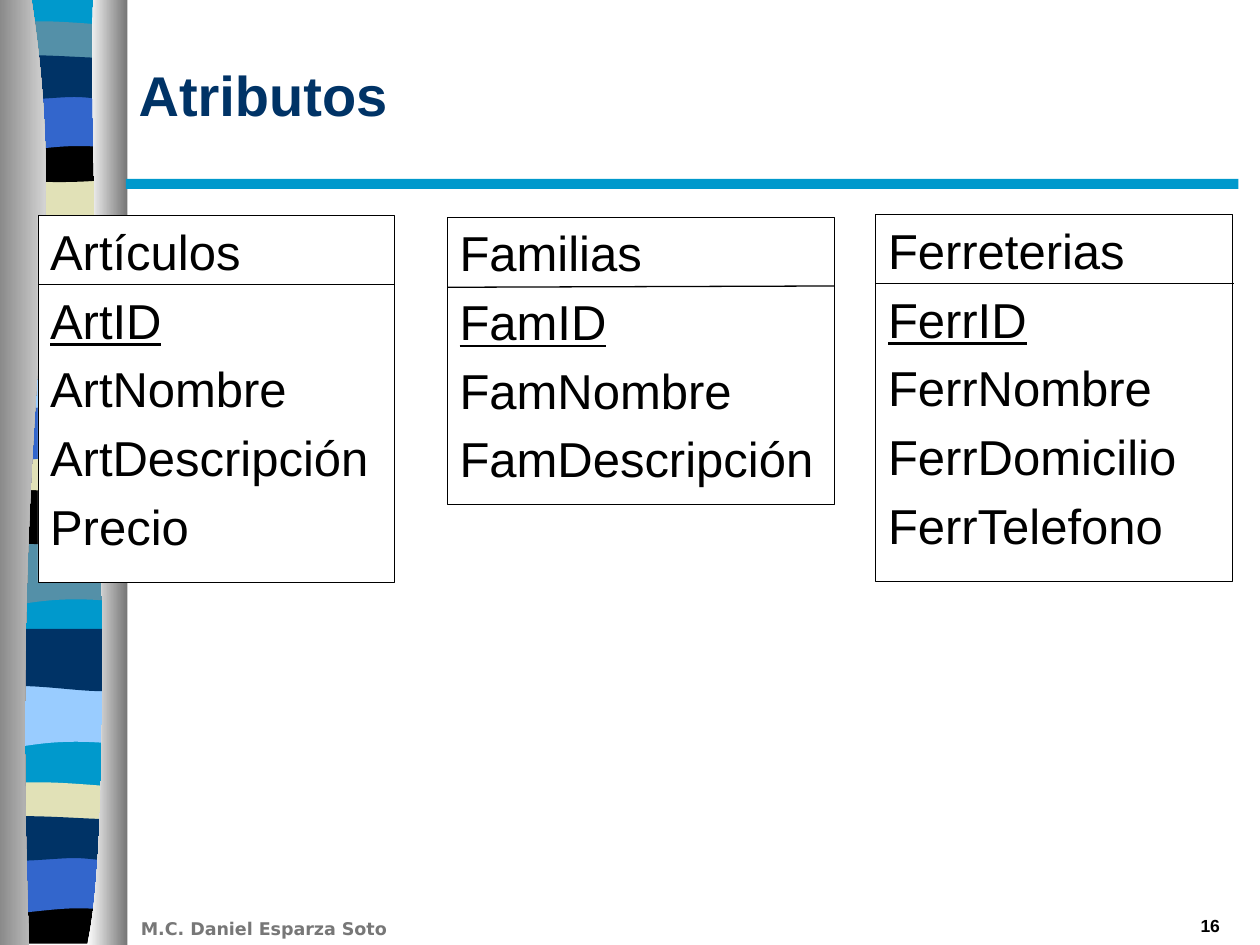
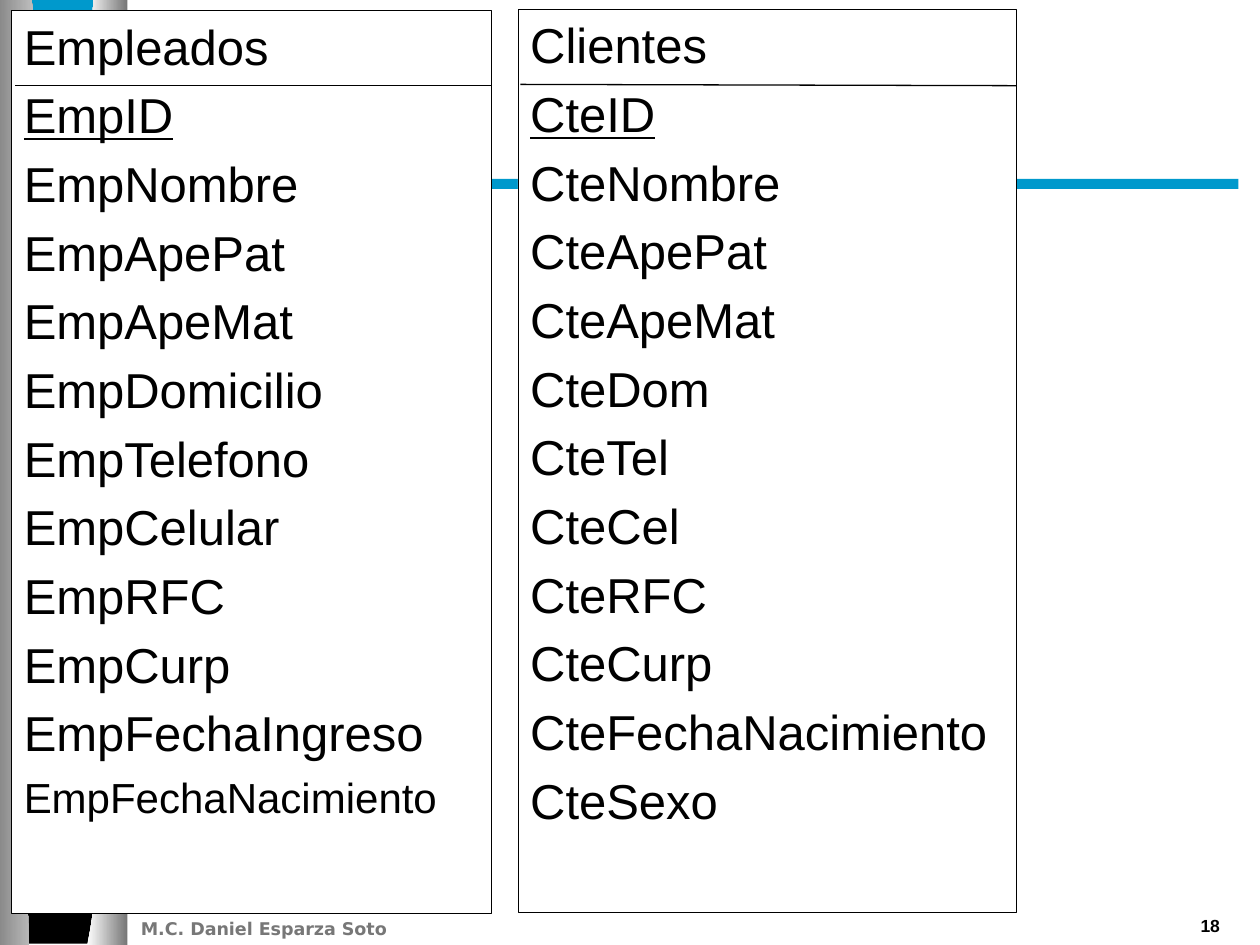
"""Build two slides of entity boxes with their attributes beside a wavy ribbon."""
from lxml import etree
from pptx import Presentation
from pptx.dml.color import RGBColor
from pptx.enum import shapes, text
from pptx.oxml import ns
from pptx.util import Inches, Pt

COLOURS = {
    "cyan": "0099CC", "teal": "5490A8", "sand": "E1E1B7", "black": "000000",
    "blue": "3366CC", "navy": "003366", "sky": "99CCFF", "white": "FFFFFF",
    "steel": "767676", "grey": "777777",
}

FORMATS = {
    "title": {"name": "Arial", "size": Pt(32), "bold": True, "colour": "navy"},
    "footer": {"name": "DejaVu Sans", "size": Pt(10), "bold": True, "colour": "grey"},
    "number": {"name": "Arial", "size": Pt(10), "bold": True, "colour": "black"},
    "entity": {"name": "Arial", "size": Pt(28), "colour": "black"},
    "key": {"name": "Arial", "size": Pt(28), "underline": True, "colour": "black"},
    "small": {"name": "Arial", "size": Pt(24), "colour": "black"},
}

FOOTER = "M.C. Daniel Esparza Soto"

PAGES = [
    {"title": "Atributos", "number": "16", "entities": [
        {"at": (0.3, 1.71, 2.83, 2.91), "rule": (0.3, 2.26, 3.13, 2.26), "fill": "white",
         "rows": ["Artículos", "ArtID", "ArtNombre", "ArtDescripción", "Precio"]},
        {"at": (3.55, 1.72, 3.07, 2.28), "rule": (3.55, 2.28, 6.62, 2.27), "fill": None,
         "rows": ["Familias", "FamID", "FamNombre", "FamDescripción"]},
        {"at": (6.95, 1.7, 2.83, 2.91), "rule": (6.95, 2.25, 9.79, 2.25), "fill": "white",
         "rows": ["Ferreterias", "FerrID", "FerrNombre", "FerrDomicilio", "FerrTelefono"]},
    ]},
    {"title": None, "number": "18", "entities": [
        {"at": (0.09, 0.08, 3.81, 7.17), "rule": (0.12, 0.68, 3.9, 0.68), "fill": "white",
         "rows": ["Empleados", "EmpID", "EmpNombre", "EmpApePat", "EmpApeMat",
                  "EmpDomicilio", "EmpTelefono", "EmpCelular", "EmpRFC", "EmpCurp",
                  "EmpFechaIngreso", "EmpFechaNacimiento"]},
        {"at": (4.11, 0.07, 3.96, 7.17), "rule": (4.13, 0.67, 8.07, 0.68), "fill": "white",
         "rows": ["Clientes", "CteID", "CteNombre", "CteApePat", "CteApeMat", "CteDom",
                  "CteTel", "CteCel", "CteRFC", "CteCurp", "CteFechaNacimiento",
                  "CteSexo"]},
    ]},
]
SMALL_ROWS = {"EmpFechaNacimiento"}

# Two numbers make a straight step, six make a curve.
OUTLINES = {
    "ground": [(0.98, 0), (0.98, 7.47), (-0.05, 7.47), (-0.05, 0)],
    "swell": [(0.98, 0), (0.98, 0, 0.98, 0.47, 0.98, 0.47),
              (0.27, 0.39, 0.13, 0.55, -0.05, 0.47), (-0.05, 0)],
    "drift": [(0.98, 0), (0.98, 0.47), (0.81, 0.55, 0.27, 0.41, -0.04, 0.47), (-0.04, 0)],
    "crest": [(0.98, 0.05), (0.98, 0.29), (0.81, 0.34, 0.13, 0.34, -0.05, 0.29),
              (-0.05, 0.05), (0.02, 0, 0.18, 0.01, 0.35, 0.01),
              (0.52, 0.01, 0.85, 0.04, 0.98, 0.05)],
    "sag": [(0.98, 0), (0.98, 0.32), (0.81, 0.38, 0.13, 0.38, -0.04, 0.32),
            (-0.04, 0), (0.59, 0.05, 0.77, 0, 0.98, 0)],
    "foot": [(0.97, 0), (0.97, 0.37), (-0.04, 0.37), (-0.05, 0),
             (0.58, 0.05, 0.76, 0, 0.97, 0)],
    "arch": [(0.98, 0), (0.98, 0, 0.98, 0.47, 0.98, 0.47),
             (0.82, 0.42, 0.76, 0.42, 0.59, 0.42),
             (0.42, 0.42, 0.11, 0.47, -0.04, 0.47), (-0.04, 0)],
    "ripple": [(0.98, 0.05), (0.98, 0.36), (0.92, 0.41, 0.76, 0.36, 0.59, 0.36),
               (0.42, 0.36, 0.06, 0.41, -0.05, 0.36), (-0.05, 0.05),
               (0.1, 0, 0.65, 0.05, 0.82, 0.05), (0.99, 0.05, 0.95, 0.05, 0.98, 0.05)],
    "left edge": [(0.25, 0), (0.58, 2.16, 0.07, 2.96, 0.23, 7.5), (-0.09, 7.5), (-0.1, 0)],
    "right edge": [(0.74, 0), (0.69, 1.25, 0.96, 6.46, 0.69, 7.5), (1.01, 7.5), (1.01, 0)],
}

RIBBON = [
    ("ground", 0, "cyan"),
    ("swell", 1.85, "teal"), ("drift", 1.41, "sand"), ("crest", 0.16, "teal"),
    ("sag", 1.08, "black"), ("arch", 0.74, "blue"), ("ripple", 0.41, "navy"),
    ("swell", 4.31, "teal"), ("drift", 3.86, "black"), ("crest", 2.62, "navy"),
    ("sag", 3.53, "sand"), ("arch", 3.2, "blue"), ("ripple", 2.86, "sky"),
    ("swell", 5.44, "sky"), ("drift", 4.99, "navy"), ("crest", 6.2, "sand"),
    ("foot", 7.12, "black"), ("arch", 6.79, "blue"), ("ripple", 6.45, "navy"),
    ("left edge", 0, ("steel", "white")), ("right edge", 0, ("white", "steel")),
]


def colour(name):
    return RGBColor.from_string(COLOURS[name])


def lengths(values):
    return [Inches(value) for value in values]


def paint(shape, fill):
    shape.shadow.inherit = False
    if fill is None:
        shape.fill.background()
    elif isinstance(fill, tuple):
        shape.fill.gradient()
        shape.fill.gradient_angle = 0
        for stop, name, position in zip(shape.fill.gradient_stops, fill, (0, 1)):
            stop.color.rgb = colour(name)
            stop.position = position
    else:
        shape.fill.solid()
        shape.fill.fore_color.rgb = colour(fill)
    shape.line.fill.background()


def write(para, words, style):
    span = para.add_run()
    span.text = words
    for attribute, value in FORMATS[style].items():
        if attribute == "colour":
            span.font.color.rgb = colour(value)
        else:
            setattr(span.font, attribute, value)


def bend(band, steps):
    """Merge the three straight segments of each curved step into one curve."""
    segments = iter(band.element.xpath(".//a:path/a:lnTo"))
    for step in steps:
        first = next(segments)
        if len(step) == 6:
            first.tag = ns.qn("a:cubicBezTo")
            for _ in range(2):
                extra = next(segments)
                first.append(extra[0])
                extra.getparent().remove(extra)


def add_band(page, outline, top, fill):
    steps = OUTLINES[outline]
    points = [lengths((step[i], step[i + 1] + top))
              for step in steps for i in range(0, len(step), 2)]
    builder = page.shapes.build_freeform(*points[0], scale=1.0)
    builder.add_line_segments(points[1:], close=True)
    band = builder.convert_to_shape()
    bend(band, steps[1:])
    paint(band, fill)
    return band


def add_label(page, at, words, style, align):
    box = page.shapes.add_textbox(*lengths(at))
    box.text_frame.word_wrap = True
    para = box.text_frame.paragraphs[0]
    para.alignment = align
    write(para, words, style)
    return box


def decorate_master(deck, page):
    parts = [add_band(page, *band) for band in RIBBON]
    bar = page.shapes.add_shape(shapes.MSO_SHAPE.RECTANGLE, *lengths((1, 1.42, 8.83, 0.08)))
    paint(bar, "cyan")
    footer = add_label(page, (1.02, 7.24, 2.83, 0.27), FOOTER, "footer", text.PP_ALIGN.LEFT)
    tree = deck.slide_master.shapes.element
    for number, part in enumerate(parts + [bar, footer], start=100):
        part.element.xpath(".//p:cNvPr")[0].set("id", str(number))
        tree.append(part.element)


def add_entity(page, entity):
    box = page.shapes.add_shape(shapes.MSO_SHAPE.RECTANGLE, *lengths(entity["at"]))
    paint(box, entity["fill"])
    box.line.color.rgb = colour("black")
    box.line.width = Pt(0.25)
    frame = box.text_frame
    frame.word_wrap = True
    frame.vertical_anchor = text.MSO_ANCHOR.TOP
    for index, row in enumerate(entity["rows"]):
        para = frame.add_paragraph() if index else frame.paragraphs[0]
        para.alignment = text.PP_ALIGN.LEFT
        if index:
            para.space_before = Pt(5.6)
        style = "key" if index == 1 else "small" if row in SMALL_ROWS else "entity"
        write(para, row, style)
    rule = page.shapes.add_connector(shapes.MSO_CONNECTOR.STRAIGHT, *lengths(entity["rule"]))
    rule.line.color.rgb = colour("black")
    rule.line.width = Pt(0.75)
    etree.SubElement(rule.element.spPr, ns.qn("a:effectLst"))


def add_title(page, words):
    title = page.shapes.title
    title.left, title.top, title.width, title.height = lengths((1, 0.12, 8.78, 1.25))
    frame = title.text_frame
    frame.auto_size = text.MSO_AUTO_SIZE.NONE
    frame.vertical_anchor = text.MSO_ANCHOR.MIDDLE
    para = frame.paragraphs[0]
    para.alignment = text.PP_ALIGN.LEFT
    write(para, words, "title")


def main():
    deck = Presentation()
    deck.slide_width, deck.slide_height = lengths((10, 7.5))
    title_only, blank = deck.slide_layouts[5], deck.slide_layouts[6]
    for index, content in enumerate(PAGES):
        page = deck.slides.add_slide(title_only if content["title"] else blank)
        if index == 0:
            decorate_master(deck, page)
        if content["title"]:
            add_title(page, content["title"])
        add_label(page, (7.7, 7.21, 2.08, 0.26), content["number"], "number",
                  text.PP_ALIGN.RIGHT)
        for entity in content["entities"]:
            add_entity(page, entity)
    deck.save("out.pptx")


if __name__ == "__main__":
    main()
